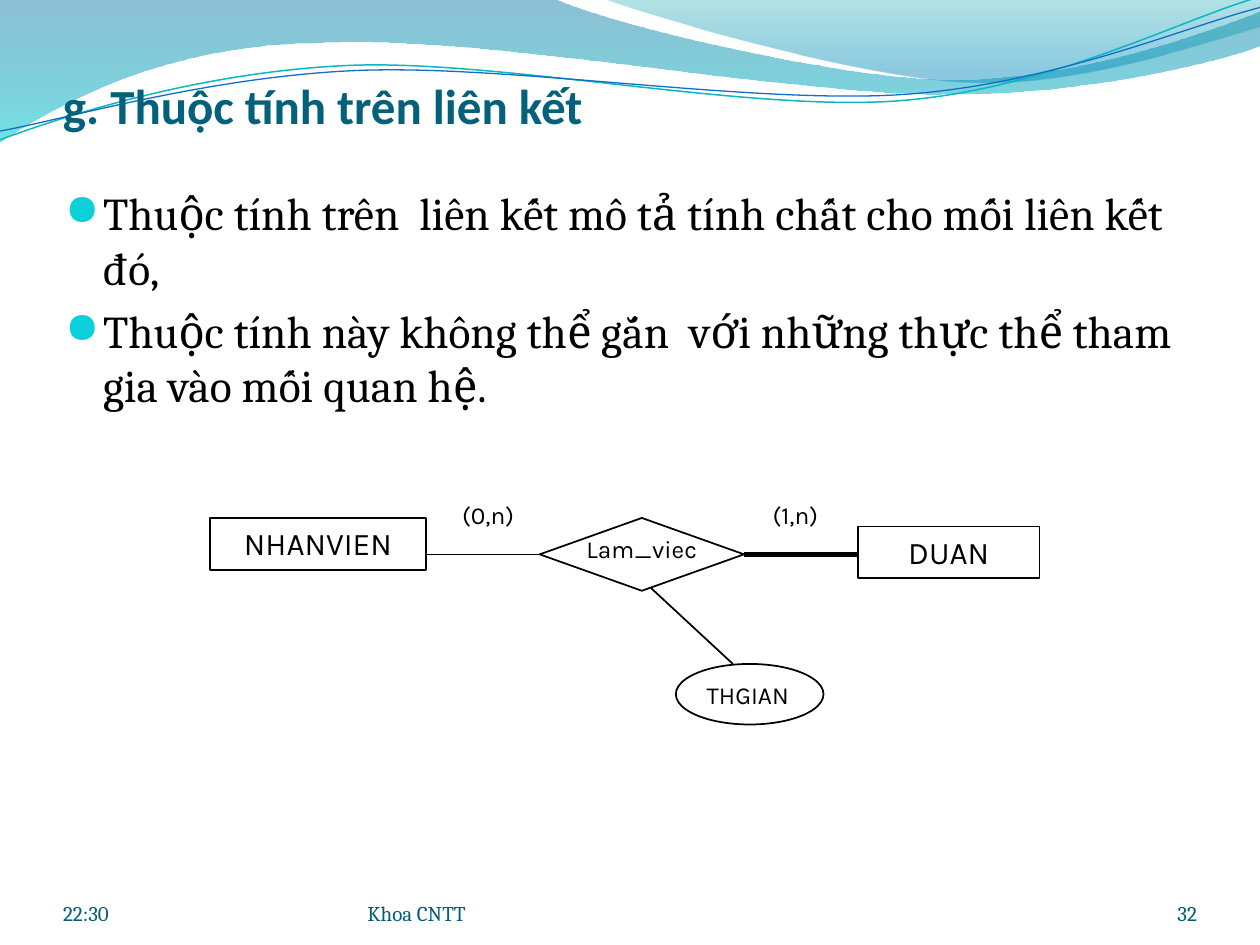
import math

import lxml.etree
import pptx
import pptx.dml.color
import pptx.enum.shapes
import pptx.enum.text
import pptx.oxml.ns
import pptx.util

Pt = pptx.util.Pt
Color = pptx.dml.color.RGBColor.from_string
Shape = pptx.enum.shapes.MSO_SHAPE
Anchor = pptx.enum.text.MSO_ANCHOR
Align = pptx.enum.text.PP_ALIGN
qn = pptx.oxml.ns.qn

theme = {
    "title": ("Calibri", 28, "04617B"),
    "body": ("Cambria", 26, "000000"),
    "footer": ("Cambria", 12, "045D75"),
    "entity": ("Karla", 18, "000000"),
    "label": ("Karla", 14, "000000"),
    "ink": "000000",
    "bullet": "0BD0D9",
    "wide_wave": [(0, "0074A1", 45), (1, "00C6CF", 55)],
    "right_wave": [(0, "00A1A9", 30), (0.8, "008BBF", 45)],
    "teal_line": "0AB8BF",
    "blue_line": "0F6FC6",
}

deck = pptx.Presentation()
deck.slide_width, deck.slide_height = Pt(720), Pt(540)
page = deck.slides.add_slide(deck.slide_layouts[6])


def add_outline(start, segments, close):
    points = [start]
    for segment in segments:
        points += zip(segment[::2], segment[1::2])
    places = [(Pt(x), Pt(y)) for x, y in points]
    builder = page.shapes.build_freeform(*places[0], scale=1.0)
    builder.add_line_segments(places[1:], close=close)
    outline = builder.convert_to_shape()
    outline.shadow.inherit = False
    steps = iter(list(outline._element.iter(qn("a:lnTo"))))
    for segment in segments:
        step = next(steps)
        if len(segment) == 6:
            curve_step = lxml.etree.Element(qn("a:cubicBezTo"))
            step.addprevious(curve_step)
            for corner in (step, next(steps), next(steps)):
                curve_step.append(corner[0])
                corner.getparent().remove(corner)
    return outline


def write(box, style, lines, align=Align.LEFT, anchor=Anchor.TOP, insets=None):
    font_name, size, color = theme[style]
    frame = box.text_frame
    frame.word_wrap = True
    frame.vertical_anchor = anchor
    if insets:
        (frame.margin_left, frame.margin_top,
         frame.margin_right, frame.margin_bottom) = map(Pt, insets)
    for index, line in enumerate(lines):
        para = frame.paragraphs[0] if index == 0 else frame.add_paragraph()
        para.text = line
        para.alignment = align
        if style == "body":
            properties = para._p.get_or_add_pPr()
            properties.set("marL", str(Pt(21.6)))
            properties.set("indent", str(Pt(-21.6)))
            if index:
                para.space_before = Pt(5)
            bullet_color = lxml.etree.SubElement(properties, qn("a:buClr"))
            lxml.etree.SubElement(bullet_color, qn("a:srgbClr"), val=theme["bullet"])
            lxml.etree.SubElement(properties, qn("a:buSzPct"), val="95000")
            lxml.etree.SubElement(properties, qn("a:buFont"), typeface="OpenSymbol")
            lxml.etree.SubElement(properties, qn("a:buChar"), char="●")
        para.font.name = font_name
        para.font.size = Pt(size)
        para.font.bold = style == "title"
        para.font.color.rgb = Color(color)


waves = [
    ("wide_wave", (0, -0.7), [
        (316.8, -0.7), (342.7, 12.2, 478.1, 45.4, 545.8, 45.4),
        (614.2, 45.4, 689.8, 18.7, 720, 6.5), (720.7, 25.9),
        (707.8, 31.7, 626.4, 54.7, 537.1, 54),
        (447.8, 54, 275, 20.2, 185, 24.5),
        (92.9, 25.2, 33.1, 59.8, -0.7, 81.4), (0, -0.7)]),
    ("right_wave", (344.9, -0.7), [
        (366.5, 7.9, 491, 44.6, 553.7, 46.8),
        (616.3, 49.7, 691.9, 23, 720, 15.1), (720, 0), (344.9, -0.7)]),
]
for name, start, segments in waves:
    wave = add_outline(start, segments, True)
    wave.line.fill.background()
    wave.fill.gradient()
    wave.fill.gradient_angle = 270
    for stop, (position, color, opacity) in zip(wave.fill.gradient_stops, theme[name]):
        stop.position = position
        stop.color.rgb = Color(color)
        tint = stop._gs.find(qn("a:srgbClr"))
        lxml.etree.SubElement(tint, qn("a:alpha"), val=str(opacity * 1000))

tilt = 2.7
cosine, sine = math.cos(math.radians(tilt)), math.sin(math.radians(tilt))
wave_lines = [
    ("teal_line", 0.85, (359.3, 41.4), [
        (0, 79.9), (34.6, 67, 113.8, 41, 199.4, 37.4),
        (284.4, 33.8, 427, 64.1, 513.4, 57.6),
        (599.8, 51.1, 675.4, 10.8, 718.6, -1.4)]),
    ("blue_line", 0.75, (359.6, 42.5), [
        (0, 74.9), (33.8, 69.1, 118.1, 43.9, 203.8, 40.3),
        (290.2, 36.7, 429.8, 59.8, 516.2, 54),
        (601.9, 48.2, 677.5, 15.1, 720, 4.3)]),
]
for name, width, (center_x, center_y), segments in wave_lines:
    level = []
    for segment in segments:
        turned = []
        for x, y in zip(segment[::2], segment[1::2]):
            across, down = x - center_x, y - center_y
            turned += [center_x + across * cosine - down * sine,
                       center_y + across * sine + down * cosine]
        level.append(turned)
    curve = add_outline(level[0], level[1:], False)
    curve.rotation = 360 - tilt
    curve.fill.background()
    curve.line.color.rgb = Color(theme[name])
    curve.line.width = Pt(width)

title = page.shapes.add_textbox(Pt(36), Pt(28), Pt(648), Pt(49))
write(title, "title", ["g. Thuộc tính trên liên kết"], anchor=Anchor.BOTTOM, insets=(0, 3.6, 0, 0))

body = page.shapes.add_textbox(Pt(30.2), Pt(102.2), Pt(660), Pt(401.8))
write(body, "body", [
    "Thuộc tính trên  liên kết mô tả tính chất cho mối liên kết đó,",
    "Thuộc tính này không thể gắn  với những thực thể tham gia vào mối quan hệ.",
])

nodes = {}
for name, kind, left, top, width, height in [
    ("NHANVIEN", Shape.RECTANGLE, 120, 296, 123.4, 29.6),
    ("DUAN", Shape.RECTANGLE, 490.3, 300.9, 103.7, 29.6),
    ("Lam_viec", Shape.FLOWCHART_DECISION, 308.4, 296, 116.8, 41.6),
    ("THGIAN", Shape.OVAL, 386.2, 379.4, 84.4, 34.6),
]:
    node = page.shapes.add_shape(kind, Pt(left), Pt(top), Pt(width), Pt(height))
    node.shadow.inherit = False
    node.fill.background()
    node.line.color.rgb = Color(theme["ink"])
    node.line.width = Pt(1)
    if kind == Shape.RECTANGLE:
        write(node, "entity", [name], Align.CENTER)
    nodes[name] = node

for text, left, top, width in [
    ("Lam_viec", 321.4, 301.7, 90.7),
    ("(0,n)", 249.8, 282.2, 58.3),
    ("(1,n)", 425.3, 282.2, 58.3),
    ("THGIAN", 388.4, 385.2, 77.8),
]:
    label = page.shapes.add_textbox(Pt(left), Pt(top), Pt(width), Pt(24))
    write(label, "label", [text], Align.CENTER)

links = []
for start_x, start_y, end_x, end_y, width in [
    (243.4, 316.8, 308.4, 316.8, 1),
    (425.2, 316.8, 490.3, 316.8, 3.25),
    (372.2, 336.2, 418.8, 379.4, 1),
]:
    link = page.shapes.add_connector(
        pptx.enum.shapes.MSO_CONNECTOR.STRAIGHT, Pt(start_x), Pt(start_y), Pt(end_x), Pt(end_y))
    link.line.color.rgb = Color(theme["ink"])
    link.line.width = Pt(width)
    lxml.etree.SubElement(link._element.spPr, qn("a:effectLst"))
    links.append(link)
links[0].end_connect(nodes["Lam_viec"], 1)
links[1].begin_connect(nodes["Lam_viec"], 3)

for text, left, width, align in [
    ("22:30", 36, 168, Align.LEFT),
    ("Khoa CNTT", 210, 264, Align.LEFT),
    ("32", 624, 60, Align.RIGHT),
]:
    footer = page.shapes.add_textbox(Pt(left), Pt(500.4), Pt(width), Pt(28.8))
    write(footer, "footer", [text], align, Anchor.BOTTOM, (0, 0, 0, 0))

deck.save("out.pptx")
